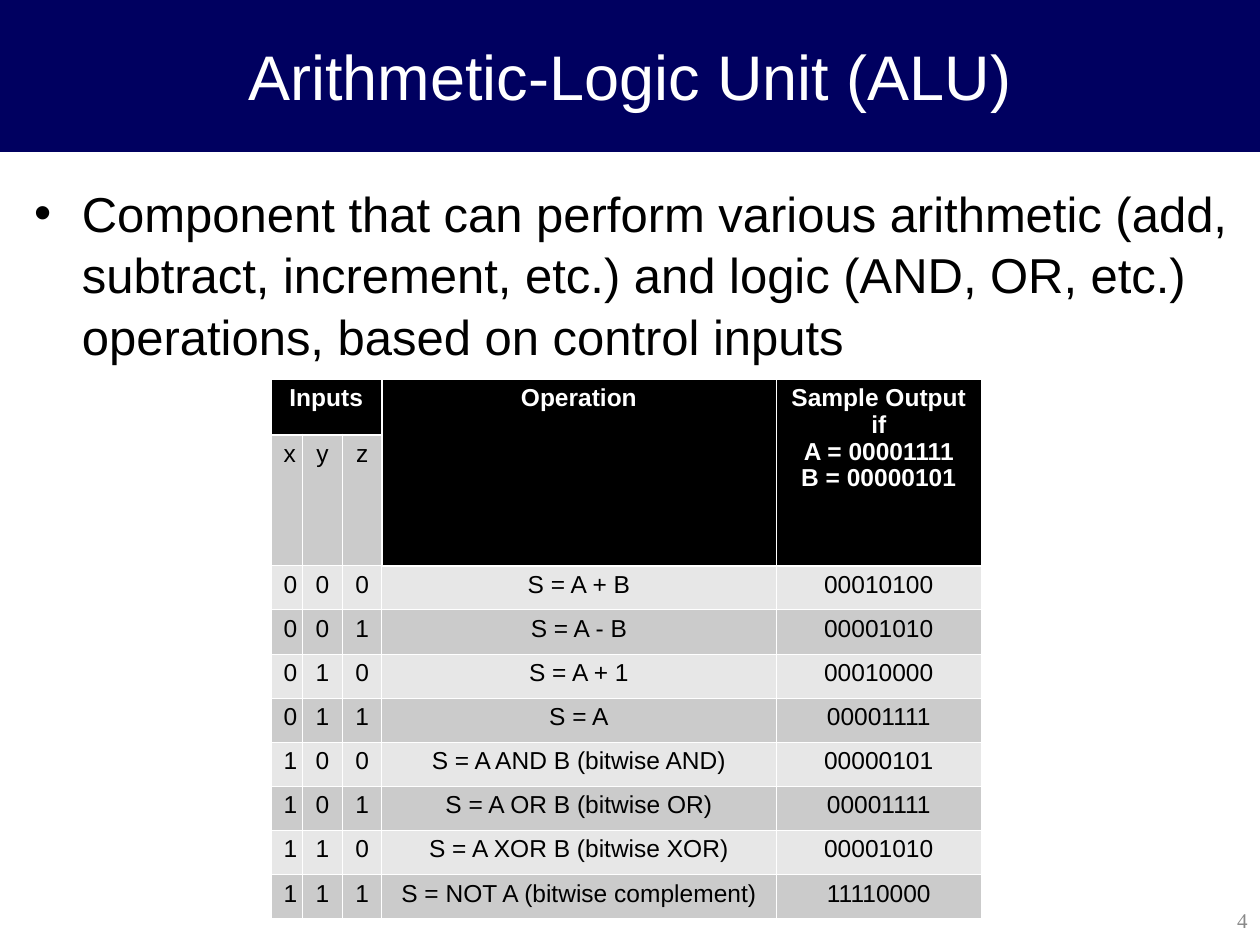
from dataclasses import dataclass

from lxml.etree import SubElement
from pptx import Presentation
from pptx.dml.color import RGBColor
from pptx.enum.shapes import MSO_SHAPE as Shape
from pptx.enum.text import MSO_ANCHOR as Anchor, MSO_AUTO_SIZE as Fit, PP_ALIGN as Align
from pptx.oxml.ns import qn
from pptx.util import Inches, Pt

NAVY, BLACK, WHITE, GREY = "000060", "000000", "FFFFFF", "898989"
BANDS = ("E7E7E7", "CBCBCB")
THIN, THICK = 0.45, 1.47
COLS = (0.25, 0.32, 0.31, 3.13, 1.63)
ROWS = (0.44, 1.04) + (0.35,) * 8
HEADS = 2   # header rows
BITS = 3    # input columns


@dataclass
class Style:
    size: float
    color: str = BLACK
    bold: bool = False
    face: str = "Arial"


@dataclass
class Case:
    op: str
    out: str


CASES = (
    Case("S = A + B", "00010100"),
    Case("S = A - B", "00001010"),
    Case("S = A + 1", "00010000"),
    Case("S = A", "00001111"),
    Case("S = A AND B (bitwise AND)", "00000101"),
    Case("S = A OR B (bitwise OR)", "00001111"),
    Case("S = A XOR B (bitwise XOR)", "00001010"),
    Case("S = NOT A (bitwise complement)", "11110000"),
)


def rgb(code: str) -> RGBColor:
    return RGBColor.from_string(code)


def paint(target, code: str) -> None:
    target.fill.solid()
    target.fill.fore_color.rgb = rgb(code)


def place(shape, left: float, top: float, width: float, height: float) -> None:
    shape.left, shape.top = Inches(left), Inches(top)
    shape.width, shape.height = Inches(width), Inches(height)


def write(para, text: str, style: Style, align=Align.LEFT) -> None:
    """Add the text to the paragraph, one run a line."""
    para.alignment = align
    for i, line in enumerate(text.split("\n")):
        if i:
            para.add_line_break()
        run = para.add_run()
        run.text = line
        font = run.font
        font.name, font.size, font.bold = style.face, Pt(style.size), style.bold
        font.color.rgb = rgb(style.color)


def add_bullet(para, indent: float) -> None:
    props = para._p.get_or_add_pPr()
    props.set("marL", str(Inches(indent)))
    props.set("indent", str(-Inches(indent)))
    tint = SubElement(props, qn("a:buClr"))
    SubElement(tint, qn("a:srgbClr"), val=BLACK)
    SubElement(props, qn("a:buFont"), typeface="Arial")
    SubElement(props, qn("a:buChar"), char="•")


def add_edges(cell, row: int, col: int) -> None:
    """Draw white borders, thicker around the header cells."""
    right, low = col + cell.span_width, row + cell.span_height
    split = 1 if col < BITS else HEADS
    heavy = {
        "L": col == BITS and row < HEADS,
        "R": right == BITS and row < HEADS,
        "T": row == split,
        "B": low == split,
    }
    props = cell._tc.get_or_add_tcPr()
    for side, bold in heavy.items():
        width = Pt(THICK if bold else THIN)
        line = SubElement(props, qn(f"a:ln{side}"), w=str(width))
        fill = SubElement(line, qn("a:solidFill"))
        SubElement(fill, qn("a:srgbClr"), val=WHITE)


def add_grid(slide) -> None:
    """Add the table of operations; the inputs count up in binary."""
    texts = [
        ["Inputs", "", "", "Operation", "Sample Output if\nA = 00001111|B = 00000101"],
        ["x", "y", "z", "", ""],
    ]
    texts += [[*f"{n:03b}", case.op, case.out] for n, case in enumerate(CASES)]
    frame = slide.shapes.add_table(
        len(ROWS), len(COLS), Inches(2.15), Inches(3.01),
        Inches(sum(COLS)), Inches(sum(ROWS)))
    table = frame.table
    for col, width in zip(table.columns, COLS):
        col.width = Inches(width)
    for row, height in zip(table.rows, ROWS):
        row.height = Inches(height)
    table.cell(0, 0).merge(table.cell(0, BITS - 1))
    for c in range(BITS, len(COLS)):
        table.cell(0, c).merge(table.cell(1, c))

    for r, line in enumerate(texts):
        for c, text in enumerate(line):
            cell = table.cell(r, c)
            head = r == 0 or (r < HEADS and c >= BITS)
            add_edges(cell, r, c)
            paint(cell, BLACK if head else BANDS[r % 2])
            if not text:
                continue
            style = Style(14, WHITE, True) if head else Style(14)
            for i, part in enumerate(text.split("|")):
                paras = cell.text_frame
                para = paras.add_paragraph() if i else paras.paragraphs[0]
                para.line_spacing = 0.97
                write(para, part, style, Align.CENTER)


def add_title(slide) -> None:
    band = slide.shapes.add_shape(Shape.RECTANGLE, 0, 0, Inches(10), Inches(1.2))
    band.shadow.inherit = False
    paint(band, NAVY)
    band.line.color.rgb = rgb(NAVY)
    band.line.width = Pt(0.75)
    slide.shapes._spTree.insert(2, band._element)  # behind the title
    title = slide.shapes.title
    place(title, 0, 0, 10, 1.2)
    frame = title.text_frame
    frame.auto_size, frame.vertical_anchor = Fit.NONE, Anchor.MIDDLE
    write(frame.paragraphs[0], "Arithmetic-Logic Unit (ALU)", Style(36, WHITE), Align.CENTER)


def add_body(slide) -> None:
    body = slide.placeholders[1]
    place(body, 0.17, 1.38, 9.66, 5.72)
    frame = body.text_frame
    frame.auto_size, frame.vertical_anchor = Fit.NONE, Anchor.TOP
    frame.margin_right = Inches(0.05)
    para = frame.paragraphs[0]
    add_bullet(para, 0.38)
    para.space_before = Pt(0)
    para.line_spacing = 1.05
    write(para, "Component that can perform various arithmetic (add, subtract, "
          "increment, etc.) and logic (AND, OR, etc.) operations, based on "
          "control inputs", Style(28))


def add_number(slide) -> None:
    box = slide.shapes.add_textbox(Inches(7.88), Inches(7.1), Inches(2.12), Inches(0.4))
    frame = box.text_frame
    frame.word_wrap, frame.vertical_anchor = True, Anchor.MIDDLE
    write(frame.paragraphs[0], "4", Style(12, GREY, face="Times New Roman"), Align.RIGHT)


def main() -> None:
    deck = Presentation()
    deck.slide_width, deck.slide_height = Inches(10), Inches(7.5)
    slide = deck.slides.add_slide(deck.slide_layouts[1])
    add_title(slide)
    add_body(slide)
    add_number(slide)
    add_grid(slide)
    deck.save("out.pptx")


if __name__ == "__main__":
    main()
